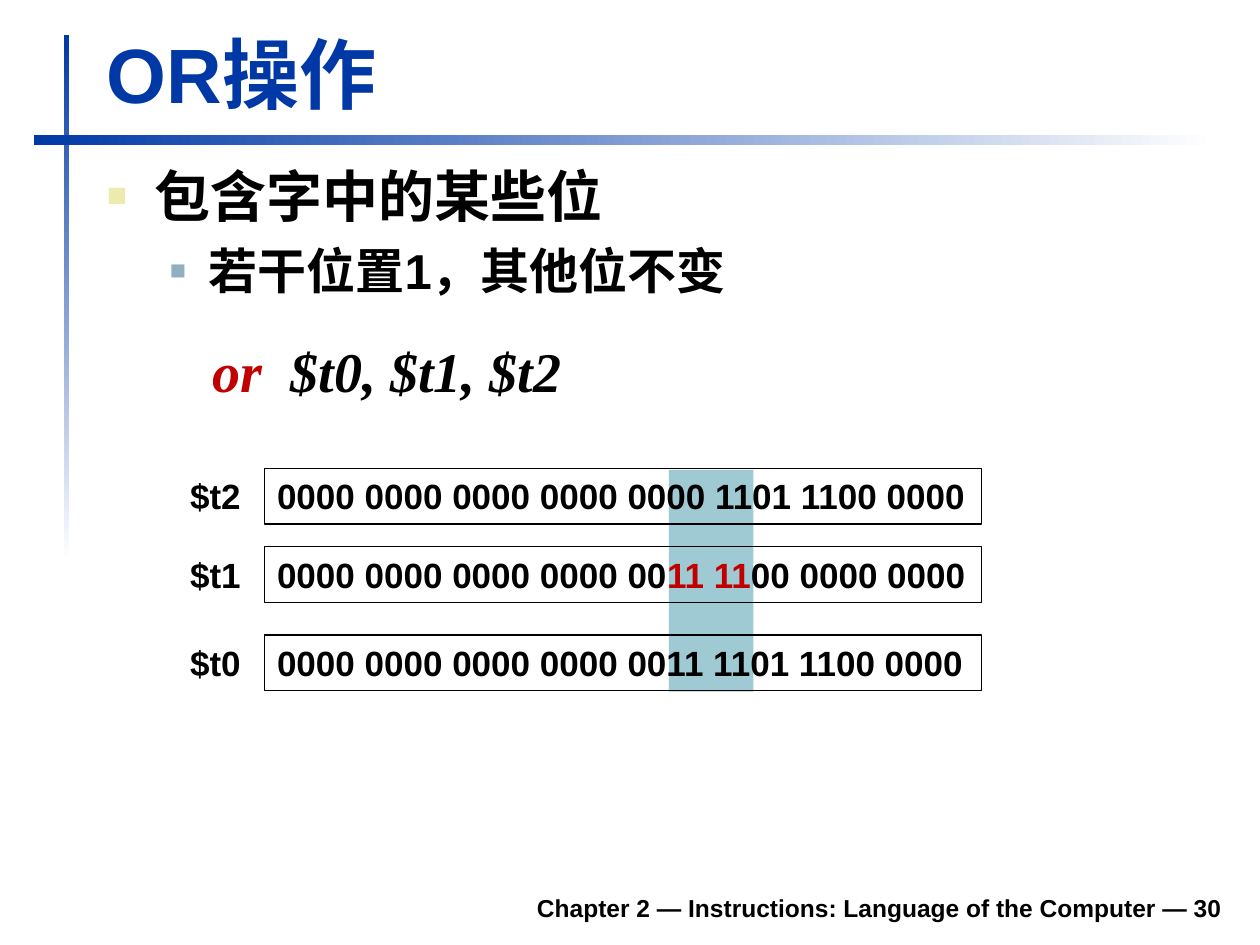
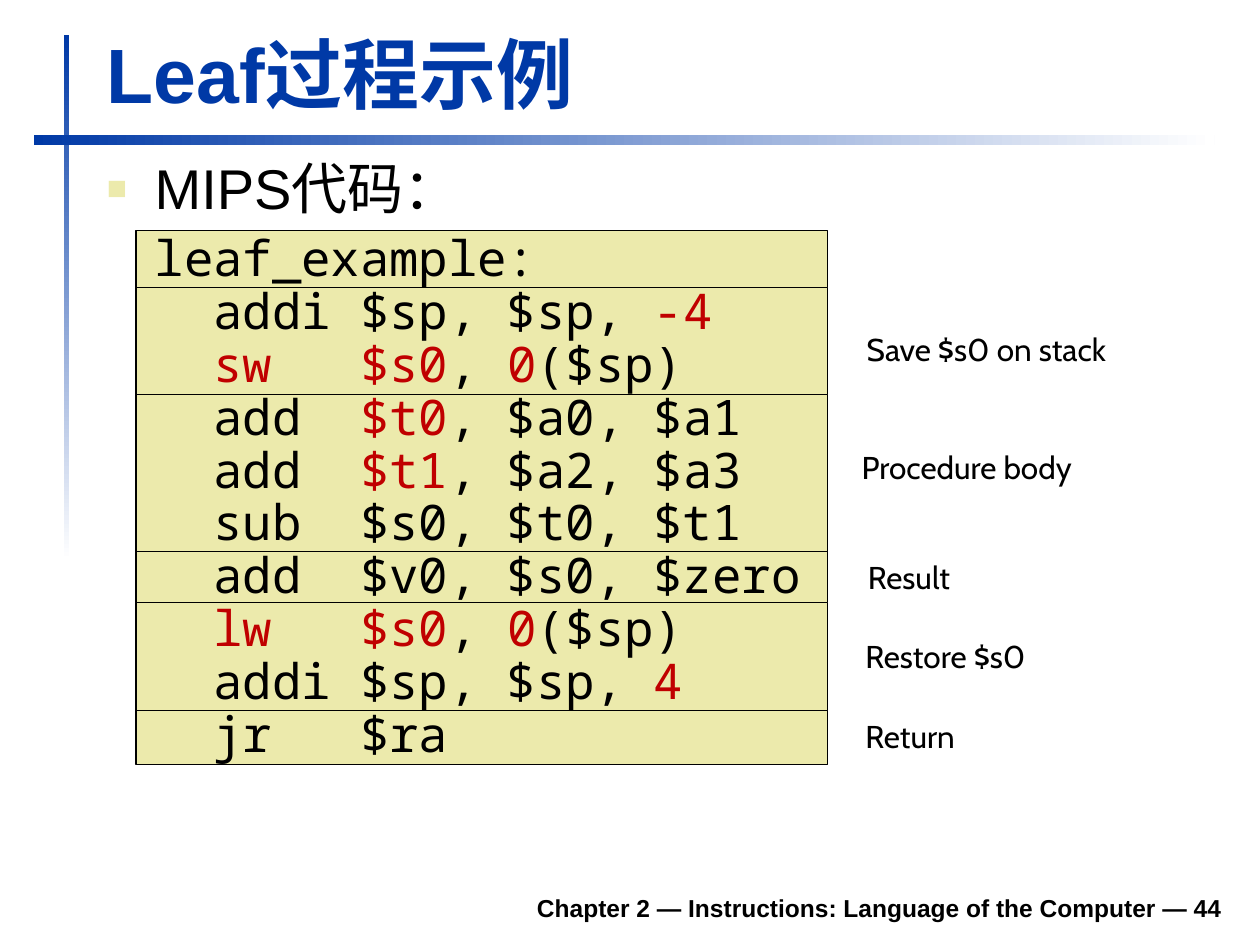
from dataclasses import dataclass
from typing import Optional

from lxml import etree
from pptx import Presentation
from pptx.dml.color import RGBColor
from pptx.enum.shapes import MSO_SHAPE
from pptx.enum.text import MSO_ANCHOR, PP_ALIGN
from pptx.oxml.ns import qn
from pptx.util import Emu, Pt

RECT = MSO_SHAPE.RECTANGLE
TOP, BOTTOM = MSO_ANCHOR.TOP, MSO_ANCHOR.BOTTOM
LEFT, RIGHT = PP_ALIGN.LEFT, PP_ALIGN.RIGHT

EMU_PER_PX = 9144  # 100 px to the inch
COLORS = {
    "blue": "0039A6", "white": "FFFFFF", "black": "000000", "red": "C00000",
    "cream": "ECEAAC", "steel": "91AFBF", "teal": "9FCAD3",
}
FOOTER = "Chapter 2 — Instructions: Language of the Computer — "


@dataclass(frozen=True)
class Box:
    left: int
    top: int
    width: int
    height: int


@dataclass(frozen=True)
class Style:
    size: int
    font: str = "Arial"
    color: str = "black"
    bold: bool = False
    italic: bool = False
    align: PP_ALIGN = LEFT


@dataclass(frozen=True)
class Para:
    """Text in which every second part between bars is red."""
    text: str
    style: Style
    margin: int = 0
    hang: int = 0
    bullet_color: Optional[str] = None
    bullet_percent: int = 60
    before: int = 0
    line_spacing: float = 1.0


@dataclass(frozen=True)
class Register:
    name: str
    bits: str
    top: int


@dataclass(frozen=True)
class CodeBlock:
    height: int
    lines: tuple[str, ...]
    note: str = ""
    note_left: int = 0
    note_top: int = 0


TITLE = Style(44, color="blue", bold=True)
FOOTER_STYLE = Style(14, bold=True, align=RIGHT)
BITS = Style(20, bold=True)
CODE = Style(28, "Noto Sans Mono")
NOTE = Style(18, "Cabin")

REGISTERS = [
    Register("$t2", "0000 0000 0000 0000 0000 1101 1100 0000", 372),
    Register("$t1", "0000 0000 0000 0000 00|11 11|00 0000 0000", 434),
    Register("$t0", "0000 0000 0000 0000 0011 1101 1100 0000", 504),
]
CODE_BLOCKS = [
    CodeBlock(45, ("leaf_example:",)),
    CodeBlock(85, ("  addi $sp, $sp, |-4", "  |sw   $s0|, |0|($sp)"),
              "Save $s0 on stack", 678, 257),
    CodeBlock(125, ("  add  |$t0|, $a0, $a1", "  add  |$t1|, $a2, $a3",
                    "  sub  $s0, $t0, $t1"), "Procedure body", 674, 351),
    CodeBlock(40, ("  add  $v0, $s0, $zero",), "Result", 679, 438),
    CodeBlock(86, ("  |lw   $s0|, |0|($sp)", "  addi $sp, $sp, |4"),
              "Restore $s0", 677, 501),
    CodeBlock(43, ("  jr   $ra",), "Return", 677, 564),
]


def px(length: int) -> Emu:
    return Emu(length * EMU_PER_PX)


def rgb(name: str) -> RGBColor:
    return RGBColor.from_string(COLORS[name])


def place(box: Box) -> tuple[Emu, ...]:
    return px(box.left), px(box.top), px(box.width), px(box.height)


def add_rect(slide, box: Box, fill: Optional[str] = None, outlined: bool = False):
    rect = slide.shapes.add_shape(RECT, *place(box))
    rect.shadow.inherit = False
    if fill:
        rect.fill.solid()
        rect.fill.fore_color.rgb = rgb(fill)
    else:
        rect.fill.background()
    if outlined:
        rect.line.color.rgb = rgb("black")
        rect.line.width = Pt(0.75)
    else:
        rect.line.fill.background()
    return rect


def add_band(slide, box: Box, angle: int) -> None:
    """Draw a bar fading from blue to white; angle runs anticlockwise."""
    fill = add_rect(slide, box, "blue").fill
    fill.gradient()
    fill.gradient_angle = angle
    for stop, name in zip(fill.gradient_stops, ("blue", "white")):
        stop.color.rgb = rgb(name)


def set_bullet(properties, color: str, percent: int) -> None:
    bullet_color = etree.SubElement(properties, qn("a:buClr"))
    etree.SubElement(bullet_color, qn("a:srgbClr"), val=COLORS[color])
    etree.SubElement(properties, qn("a:buSzPct"), val=str(percent * 1000))
    etree.SubElement(properties, qn("a:buFont"), typeface="Arial")
    etree.SubElement(properties, qn("a:buChar"), char="■")


def write_lines(paragraph, text: str) -> None:
    for number, line in enumerate(text.split("\n")):
        if number:
            paragraph.add_line_break()
        for position, part in enumerate(line.split("|")):
            if part:
                run = paragraph.add_run()
                run.text = part
                if position % 2:
                    run.font.color.rgb = rgb("red")


def write(frame, paras: list[Para], anchor: MSO_ANCHOR = TOP) -> None:
    frame.word_wrap = True
    frame.vertical_anchor = anchor
    frame.margin_right = 0
    for number, para in enumerate(paras):
        paragraph = frame.add_paragraph() if number else frame.paragraphs[0]
        style = para.style
        paragraph.alignment = style.align
        paragraph.line_spacing = para.line_spacing
        if para.before:
            paragraph.space_before = Pt(para.before)
        properties = paragraph._p.get_or_add_pPr()
        properties.set("marL", str(px(para.margin)))
        properties.set("indent", str(px(-para.hang)))
        if para.bullet_color:
            set_bullet(properties, para.bullet_color, para.bullet_percent)
        font = paragraph.font
        font.name, font.size = style.font, Pt(style.size)
        font.bold, font.italic = style.bold, style.italic
        font.color.rgb = rgb(style.color)
        write_lines(paragraph, para.text)


def add_text(slide, box: Box, paras: list[Para], anchor: MSO_ANCHOR = TOP) -> None:
    write(slide.shapes.add_textbox(*place(box)).text_frame, paras, anchor)


def add_base_slide(deck, title: str, number: int):
    slide = deck.slides.add_slide(deck.slide_layouts[6])
    add_band(slide, Box(51, 28, 4, 417), 270)
    add_band(slide, Box(27, 107, 937, 8), 0)
    add_text(slide, Box(185, 698, 785, 39),
             [Para(f"{FOOTER}{number}", FOOTER_STYLE)], BOTTOM)
    add_text(slide, Box(75, 16, 903, 83), [Para(title, TITLE)], BOTTOM)
    return slide


def build_or_slide(deck) -> None:
    slide = add_base_slide(deck, "OR操作", 30)
    add_rect(slide, Box(531, 373, 67, 176), "teal")
    add_text(slide, Box(75, 123, 904, 227), [
        Para("包含字中的某些位", Style(32, bold=True), 38, 38, "cream"),
        Para("若干位置1，其他位不变", Style(28, bold=True), 81, 31, "steel", 55, 7),
        Para("|or|  $t0, $t1, $t2",
             Style(32, "Times New Roman", bold=True, italic=True), 84, before=21),
    ])
    for register in REGISTERS:
        add_text(slide, Box(141, register.top, 65, 44), [Para(register.name, BITS)])
        word = add_rect(slide, Box(210, register.top, 569, 44), outlined=True)
        write(word.text_frame, [Para(register.bits, BITS)])


def build_leaf_slide(deck) -> None:
    slide = add_base_slide(deck, "Leaf过程示例", 44)
    top = 183
    for block in CODE_BLOCKS:
        add_rect(slide, Box(108, top, 549, block.height), "cream", outlined=True)
        top += block.height
        if block.note:
            add_text(slide, Box(block.note_left, block.note_top, 225, 40),
                     [Para(block.note, NOTE)])
    code = "\n".join(line for block in CODE_BLOCKS for line in block.lines)
    add_text(slide, Box(75, 123, 904, 559), [
        Para("MIPS代码：", Style(32), 38, 38, "cream", line_spacing=0.9),
        Para(code, CODE, 38, before=7, line_spacing=0.9),
    ])


def main() -> None:
    deck = Presentation()
    deck.slide_width, deck.slide_height = px(1000), px(750)
    build_or_slide(deck)
    build_leaf_slide(deck)
    deck.save("out.pptx")


if __name__ == "__main__":
    main()
